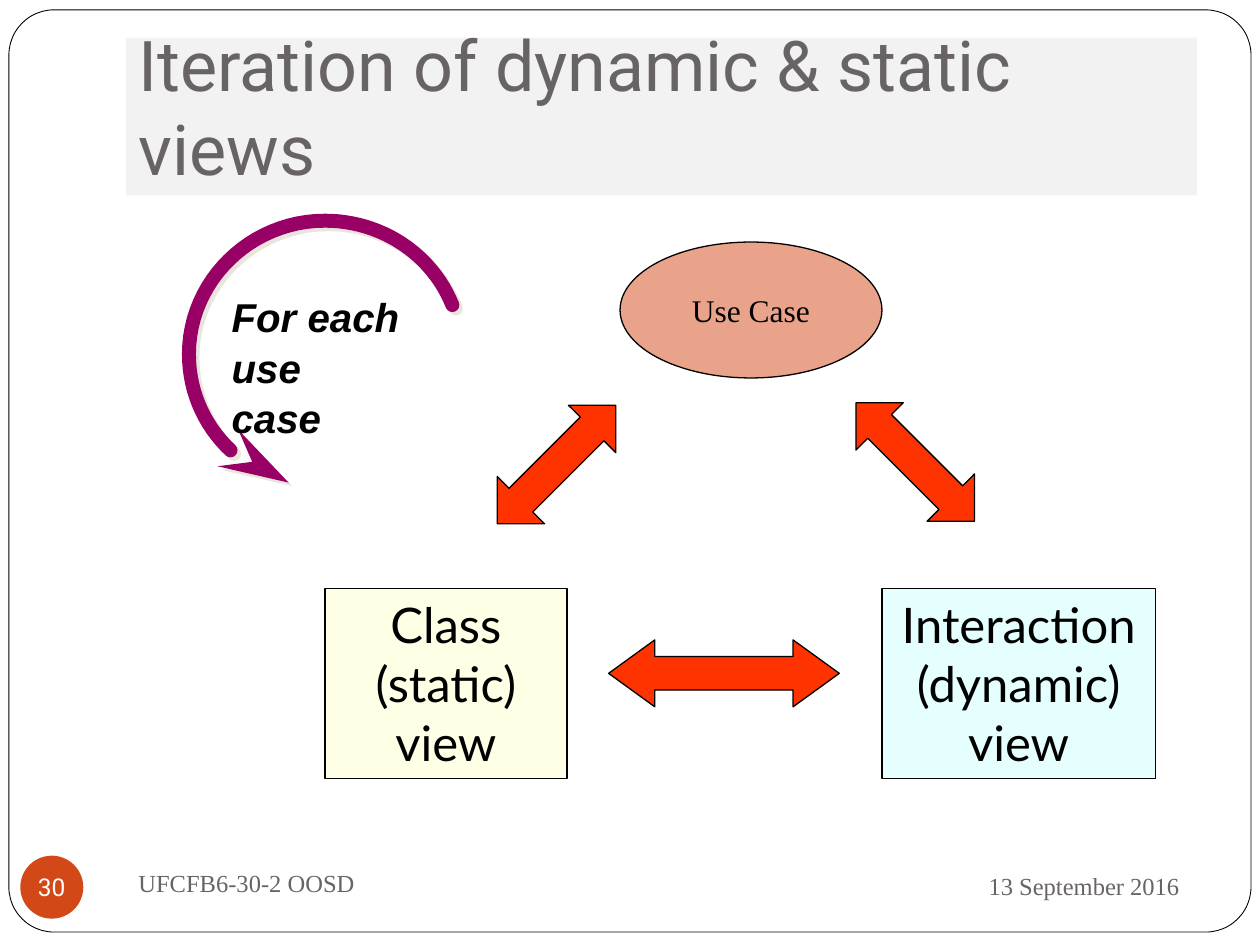
import pptx
import pptx.dml.color
import pptx.enum.shapes
import pptx.enum.text
import pptx.oxml
import pptx.oxml.ns
import pptx.util
from pptx.dml.color import RGBColor
from pptx.util import Cm

SHAPE = pptx.enum.shapes.MSO_SHAPE
ALIGN = pptx.enum.text.PP_ALIGN
ANCHOR = pptx.enum.text.MSO_ANCHOR

BLACK = RGBColor(0x00, 0x00, 0x00)
WHITE = RGBColor(0xFF, 0xFF, 0xFF)
GREY = RGBColor(0x69, 0x64, 0x64)
PALE_GREY = RGBColor(0xF2, 0xF2, 0xF2)
ORANGE = RGBColor(0xD3, 0x48, 0x17)
RED = RGBColor(0xFF, 0x33, 0x00)
PURPLE = RGBColor(0x99, 0x00, 0x66)
YELLOW = RGBColor(0xFF, 0xFF, 0xCC)
CYAN = RGBColor(0xCC, 0xFF, 0xFF)
SHADOW = RGBColor(0xE9, 0xE5, 0xDC)

TITLE = "Iteration of dynamic & static views"
TITLE_BOX = (2.54, 0.76, 21.59, 3.18)
BORDER_BOX = (0.18, 0.2, 25.04, 18.59)

# text, box in cm, preset, fill, font, size
VIEWS = [
    ("Use Case", (12.5, 4.88, 5.28, 2.74), SHAPE.OVAL, ORANGE, "Times New Roman", 18),
    ("Class (static) view", (6.55, 11.86, 4.88, 3.84), SHAPE.RECTANGLE, YELLOW, "Lato", 28),
    ("Interaction (dynamic) view", (17.78, 11.86, 5.51, 3.84), SHAPE.RECTANGLE, CYAN, "Lato", 28),
]
# box in cm, rotation, head length
ARROWS = [
    ((12.27, 12.9, 4.65, 1.35), 0, 0.69),
    ((16.76, 8.64, 3.38, 1.35), 45, 0.5),
    ((9.53, 8.69, 3.38, 1.35), 315, 0.5),
]
# text, box in cm, alignment
FOOTERS = [
    ("UFCFB6-30-2 OOSD", (2.54, 17.15, 11, 1.27), ALIGN.LEFT),
    ("13 September 2016", (17.15, 17.2, 6.88, 1.32), ALIGN.RIGHT),
]
LOOP_LABEL = "For each\nuse\vcase"
LOOP_LABEL_BOX = (4.42, 5.72, 3.91, 2.18)
LOOP_START = (5.82, 9.73)
LOOP_CURVES = [  # two control points and an end point each, in cm
    ((4.62, 9.4), (3.81, 8.36), (3.81, 7.14)),
    ((3.81, 5.66), (5.05, 4.45), (6.55, 4.45)),
    ((7.7, 4.45), (8.71, 5.13), (9.12, 6.15)),
]
PAGE_NUMBER = "30"
PAGE_NUMBER_BOX = (0.41, 17.25, 1.27, 1.27)


def lengths(box):
    return [Cm(value) for value in box]


def add_xml(parent, tag, **attributes):
    child = parent.makeelement(pptx.oxml.ns.qn(tag), attributes)
    parent.append(child)
    return child


def write(shape, text, font, size, color, align=ALIGN.LEFT, anchor=ANCHOR.MIDDLE, wrap=True):
    frame = shape.text_frame
    frame.text = text
    frame.word_wrap = wrap
    frame.vertical_anchor = anchor
    for paragraph in frame.paragraphs:
        paragraph.alignment = align
        for run in paragraph.runs:
            run.font.name = font
            run.font.size = pptx.util.Pt(size)
            run.font.color.rgb = color
    return frame


def add_preset(slide, preset, box, fill, line_width=0.75):
    shape = slide.shapes.add_shape(preset, *lengths(box))
    shape.shadow.inherit = False
    shape.fill.solid()
    shape.fill.fore_color.rgb = fill
    if line_width:
        shape.line.color.rgb = BLACK
        shape.line.width = pptx.util.Pt(line_width)
    else:
        shape.line.fill.background()
    return shape


def make_half_transparent(shape):
    color = shape._element.spPr.find(".//" + pptx.oxml.ns.qn("a:srgbClr"))
    add_xml(color, "a:alpha", val="50000")


def curve_points(start, curves, steps=24):
    """Points along a chain of cubic Bezier curves, after the start."""
    points = []
    for c1, c2, end in curves:
        for step in range(1, steps + 1):
            t = step / steps
            weights = ((1 - t) ** 3, 3 * t * (1 - t) ** 2, 3 * t * t * (1 - t), t ** 3)
            points.append(tuple(
                Cm(sum(w * p[axis] for w, p in zip(weights, (start, c1, c2, end))))
                for axis in (0, 1)))
        start = end
    return points


def add_loop(slide):
    builder = slide.shapes.build_freeform(*lengths(LOOP_START))
    builder.add_line_segments(curve_points(LOOP_START, LOOP_CURVES), close=False)
    loop = builder.convert_to_shape()
    loop.fill.background()
    loop.line.color.rgb = PURPLE
    loop.line.width = pptx.util.Pt(8)
    line = loop.line._get_or_add_ln()
    line.set("cap", "rnd")
    add_xml(line, "a:round")
    add_xml(line, "a:headEnd", type="stealth", w="med", len="lg")
    loop.shadow.inherit = False
    effects = loop._element.spPr.find(pptx.oxml.ns.qn("a:effectLst"))
    shadow = add_xml(effects, "a:outerShdw", dist=str(pptx.util.Pt(2.8)),
                     dir="2700000", algn="ctr", rotWithShape="0")
    add_xml(shadow, "a:srgbClr", val=str(SHADOW))


def main():
    deck = pptx.Presentation()
    deck.slide_width, deck.slide_height = Cm(25.4), Cm(19.05)
    slide = deck.slides.add_slide(deck.slide_layouts[5])

    border = add_preset(slide, SHAPE.ROUNDED_RECTANGLE, BORDER_BOX, WHITE, 0.5)
    border.adjustments[0] = 0.049

    title = slide.shapes.title
    border._element.addnext(title._element)
    title.left, title.top, title.width, title.height = lengths(TITLE_BOX)
    title.fill.solid()
    title.fill.fore_color.rgb = PALE_GREY
    frame = write(title, TITLE, "Roboto", 40, GREY, anchor=ANCHOR.BOTTOM)
    frame.auto_size = pptx.enum.text.MSO_AUTO_SIZE.NONE

    for text, box, align in FOOTERS:
        write(slide.shapes.add_textbox(*lengths(box)), text, "Times New Roman", 14, GREY, align)

    add_loop(slide)
    label = slide.shapes.add_textbox(*lengths(LOOP_LABEL_BOX))
    frame = write(label, LOOP_LABEL, "Arial", 23, BLACK, anchor=ANCHOR.TOP, wrap=False)
    for paragraph in frame.paragraphs:
        paragraph.line_spacing = 1.05
        for run in paragraph.runs:
            run.font.bold = run.font.italic = True

    for text, box, preset, fill, font, size in VIEWS:
        view = add_preset(slide, preset, box, fill)
        make_half_transparent(view)
        is_oval = preset == SHAPE.OVAL
        write(view, text, font, size, BLACK, ALIGN.CENTER,
              ANCHOR.MIDDLE if is_oval else ANCHOR.TOP, wrap=not is_oval)

    for box, rotation, head_length in ARROWS:
        arrow = add_preset(slide, SHAPE.LEFT_RIGHT_ARROW, box, RED)
        arrow.rotation = rotation
        arrow.adjustments[0], arrow.adjustments[1] = 0.5, head_length

    badge = add_preset(slide, SHAPE.OVAL, PAGE_NUMBER_BOX, ORANGE, line_width=0)
    frame = write(badge, PAGE_NUMBER, "Roboto", 14, WHITE, ALIGN.CENTER, wrap=False)
    frame.margin_left = frame.margin_right = frame.margin_top = frame.margin_bottom = 0

    deck.save("out.pptx")


if __name__ == "__main__":
    main()
